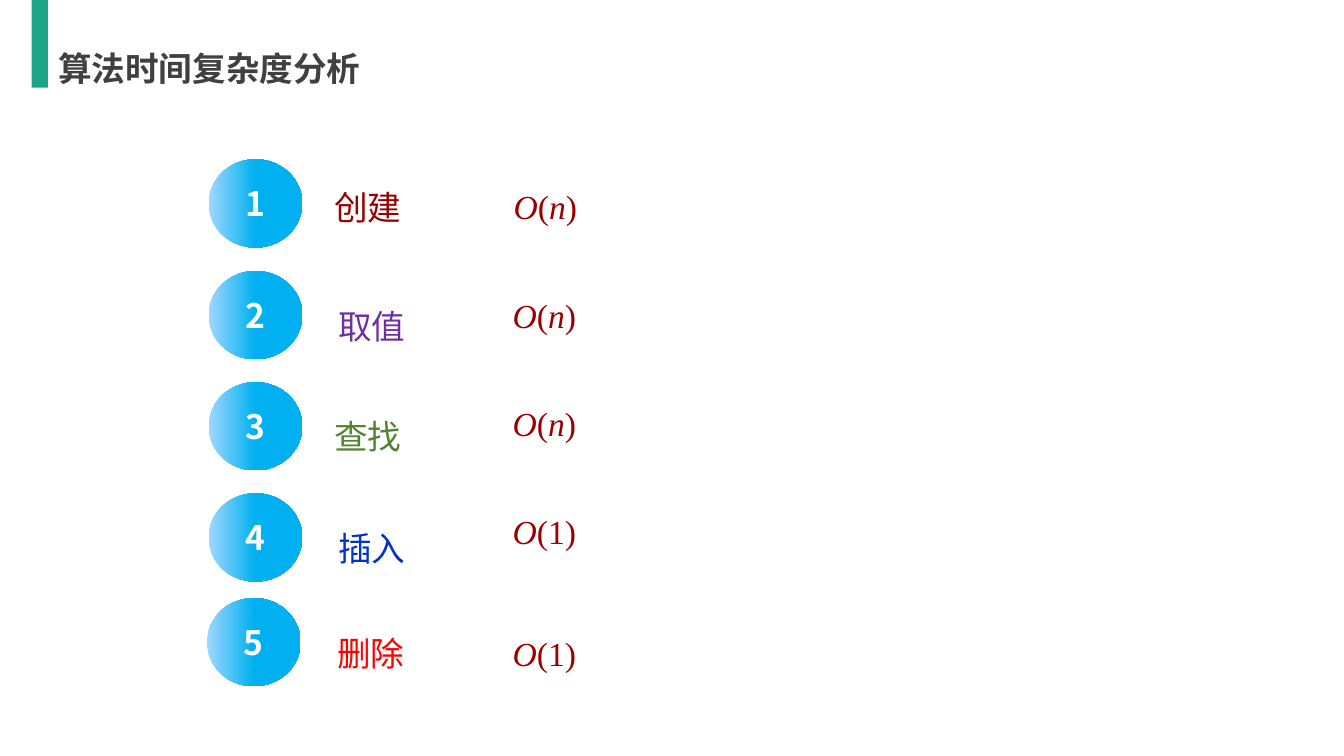
from dataclasses import dataclass

from lxml.etree import SubElement
from pptx import Presentation
from pptx.dml.color import RGBColor as Color
from pptx.enum.shapes import MSO_SHAPE as Preset
from pptx.enum.text import MSO_ANCHOR as Anchor, MSO_AUTO_SIZE as AutoSize, PP_ALIGN as Align
from pptx.oxml.ns import qn
from pptx.util import Pt


@dataclass(frozen=True)
class Theme:
    sans: str = "Noto Sans CJK SC"
    serif: str = "Times New Roman"
    size: int = 24
    accent: str = "1BA486"
    title: str = "404040"
    white: str = "FFFFFF"
    cost: str = "990000"
    badge_start: str = "9FD8FF"
    badge_end: str = "00B0F0"


def add_span(para, text, font, size, color, bold=False, italic=False):
    span = para.add_run()
    span.text = text
    span.font.name = font
    span.font.size = Pt(size)
    span.font.bold = bold
    span.font.italic = italic
    span.font.color.rgb = Color.from_string(color)
    SubElement(span.font._element, qn("a:ea")).set("typeface", font)


class SlideBuilder:
    def __init__(self, page, theme):
        self.page = page
        self.theme = theme

    def shape(self, preset, left, top, width, height):
        box = self.page.shapes.add_shape(preset, Pt(left), Pt(top), Pt(width), Pt(height))
        box.shadow.inherit = False
        box.line.fill.background()
        return box

    def bar(self, left, top, width, height):
        box = self.shape(Preset.RECTANGLE, left, top, width, height)
        box.fill.solid()
        box.fill.fore_color.rgb = Color.from_string(self.theme.accent)

    def badge(self, number, left, top):
        box = self.shape(Preset.OVAL, left, top, 67, 63)
        box.fill.gradient()
        box.fill.gradient_angle = 0
        colors = (self.theme.badge_start, self.theme.badge_end)
        for stop, color, position in zip(box.fill.gradient_stops, colors, (0, 0.5)):
            stop.color.rgb = Color.from_string(color)
            stop.position = position
        box.text_frame.vertical_anchor = Anchor.MIDDLE
        para = box.text_frame.paragraphs[0]
        para.alignment = Align.CENTER
        add_span(para, str(number), self.theme.sans, self.theme.size, self.theme.white, bold=True)

    def text(self, left, top, width, height, align=Align.CENTER, spacing=1.5):
        box = self.page.shapes.add_textbox(Pt(left), Pt(top), Pt(width), Pt(height))
        box.text_frame.word_wrap = False
        box.text_frame.auto_size = AutoSize.SHAPE_TO_FIT_TEXT
        para = box.text_frame.paragraphs[0]
        para.alignment = align
        para.line_spacing = spacing
        return para

    def title(self, text, left, top):
        para = self.text(left, top, 232.6, 36, Align.LEFT, 1.0)
        add_span(para, text, self.theme.sans, self.theme.size, self.theme.title, bold=True)

    def label(self, text, color, left, top):
        para = self.text(left, top, 63.4, 46)
        add_span(para, text, self.theme.sans, self.theme.size, color)

    def cost(self, order, left, top):
        para = self.text(left, top, 60.5, 45.4)
        for part in ("O", "(1)") if order == "1" else ("O", "(", order, ")"):
            add_span(para, part, self.theme.serif, self.theme.size, self.theme.cost,
                     italic=part.isalpha())


OPERATIONS = [
    ("创建", "990000", "n", (149, 113.8), (231.1, 115.2), (359.3, 115.2)),
    ("取值", "7030A0", "n", (149, 193.6), (234, 200.2), (358.6, 192.4)),
    ("查找", "548235", "n", (149, 273), (231.1, 279.4), (358.6, 270.2)),
    ("插入", "0033CC", "1", (149, 352.4), (234, 359.4), (358.6, 347.2)),
    ("删除", "FF0000", "1", (147.8, 427.2), (233, 434.2), (358.6, 434.4)),
]


def main():
    deck = Presentation()
    deck.slide_width, deck.slide_height = Pt(960), Pt(540)
    builder = SlideBuilder(deck.slides.add_slide(deck.slide_layouts[6]), Theme())
    builder.bar(22.6, 0, 11.7, 62.6)
    builder.title("算法时间复杂度分析", 34.4, 31)
    for number, operation in enumerate(OPERATIONS, 1):
        name, color, order, badge_at, label_at, cost_at = operation
        builder.badge(number, *badge_at)
        builder.label(name, color, *label_at)
        builder.cost(order, *cost_at)
    deck.save("out.pptx")


if __name__ == "__main__":
    main()
